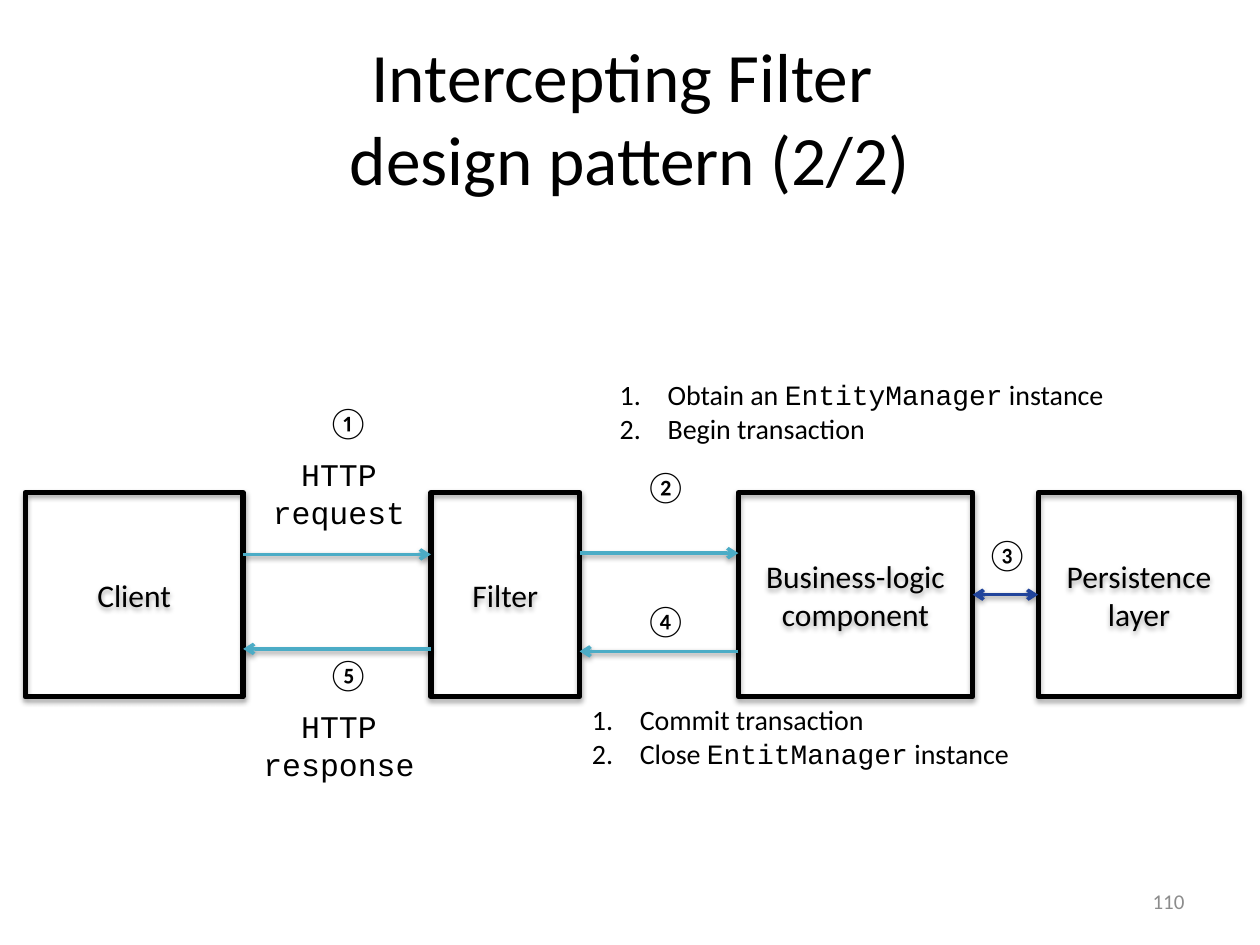
"""Build the Intercepting Filter design pattern slide."""
from lxml.etree import SubElement
from pptx import Presentation
from pptx.dml.color import RGBColor
from pptx.enum.shapes import MSO_CONNECTOR, MSO_SHAPE
from pptx.enum.text import MSO_ANCHOR as ANCHOR, MSO_AUTO_SIZE as AUTOSIZE, PP_ALIGN as ALIGN
from pptx.oxml.ns import qn
from pptx.util import Inches, Pt

BLACK = RGBColor(0x00, 0x00, 0x00)
GRAY = RGBColor(0x8C, 0x8C, 0x8C)
TEAL = RGBColor(0x4B, 0xAC, 0xC6)
BLUE = RGBColor(0x21, 0x44, 0x9B)
SANS, MONO = "Calibri", "Courier New"

TITLE = "Intercepting Filter \vdesign pattern (2/2)"
PAGE_NUMBER = "110"
BOX_TOP, BOX_HEIGHT = 3.91, 1.62
COMPONENTS = {
    "Client": (0.2, 1.73),
    "Filter": (3.42, 1.18),
    "Business-logic component": (5.86, 1.86),
    "Persistence layer": (8.24, 1.6),
}
FLOWS = [
    ("Client", "Filter", 4.4, 5.15),
    ("Filter", "Business-logic component", 4.39, 5.17),
]
MESSAGES = [(3.56, ["HTTP", "request"]), (5.56, ["HTTP", "response"])]
STEPS = [("①", 2.5, 3.15), ("②", 5.02, 3.66), ("③", 7.73, 4.2),
         ("④", 5.02, 4.72), ("⑤", 2.5, 5.15)]
ACTIONS = [
    ((4.82, 2.95, 4.75, 0.91), [
        [("Obtain an ", SANS), ("EntityManager", MONO), (" instance", SANS)],
        [("Begin transaction", SANS)],
    ]),
    ((4.6, 5.53, 4.23, 0.94), [
        [("Commit transaction", SANS)],
        [("Close ", SANS), ("EntitManager", MONO), (" instance", SANS)],
    ]),
]


def set_all(target, **values):
    for name, value in values.items():
        setattr(target, name, value)


def write(frame, paragraphs, size, align=ALIGN.LEFT, color=BLACK, numbered=False):
    for index, runs in enumerate(paragraphs):
        paragraph = frame.add_paragraph() if index else frame.paragraphs[0]
        paragraph.alignment = align
        if numbered:
            props = paragraph._p.get_or_add_pPr()
            props.set("marL", str(Inches(0.38)))
            props.set("indent", str(Inches(-0.38)))
            SubElement(props, qn("a:buFont"), typeface="+mj-lt")
            SubElement(props, qn("a:buAutoNum"), type="arabicPeriod")
        for text, font in runs:
            run = paragraph.add_run()
            run.text = text
            set_all(run.font, name=font, size=Pt(size))
            run.font.color.rgb = color


def add_text(place, paragraphs, size, wrap=True, grow=True, anchor=ANCHOR.TOP, **style):
    frame = slide.shapes.add_textbox(*map(Inches, place)).text_frame
    set_all(frame, word_wrap=wrap, vertical_anchor=anchor,
            auto_size=AUTOSIZE.SHAPE_TO_FIT_TEXT if grow else AUTOSIZE.NONE)
    write(frame, paragraphs, size, **style)


def add_shadow(effects, distance, opacity):
    shadow = SubElement(effects, qn("a:outerShdw"), blurRad=str(Pt(3.1)),
                        dist=str(Pt(distance)), dir="5400000", rotWithShape="0")
    tint = SubElement(shadow, qn("a:srgbClr"), val=str(BLACK))
    SubElement(tint, qn("a:alpha"), val=str(opacity * 1000))


def add_component(name, left, width):
    box = slide.shapes.add_shape(
        MSO_SHAPE.RECTANGLE, *map(Inches, (left, BOX_TOP, width, BOX_HEIGHT)))
    box.fill.background()
    box.line.color.rgb = BLACK
    box.line.width = Pt(3)
    box.shadow.inherit = False
    add_shadow(box._element.spPr.find(qn("a:effectLst")), 1.8, 35)
    set_all(box.text_frame, word_wrap=True, vertical_anchor=ANCHOR.MIDDLE)
    write(box.text_frame, [[(name, SANS)]], 18, ALIGN.CENTER)


def add_arrow(start, end, y, color=TEAL, ends=("tailEnd",)):
    arrow = slide.shapes.add_connector(
        MSO_CONNECTOR.STRAIGHT, *map(Inches, (start, y, end, y)))
    arrow.line.color.rgb = color
    arrow.line.width = Pt(2)
    props = arrow._element.spPr
    for end_tag in ends:
        SubElement(props.find(qn("a:ln")), qn(f"a:{end_tag}"), type="arrow")
    add_shadow(SubElement(props, qn("a:effectLst")), 1.6, 38)


def gap(left_name, right_name):
    left, width = COMPONENTS[left_name]
    return left + width, COMPONENTS[right_name][0]


deck = Presentation()
set_all(deck, slide_width=Inches(10), slide_height=Inches(7.5))
slide = deck.slides.add_slide(deck.slide_layouts[5])
title = slide.shapes.title
set_all(title, left=Inches(0.5), top=Inches(0.3), width=Inches(9), height=Inches(1.25))
title.text_frame.text = TITLE
title.text_frame.vertical_anchor = ANCHOR.MIDDLE
heading = title.text_frame.paragraphs[0]
heading.alignment = ALIGN.CENTER
for line in heading.runs:
    set_all(line.font, name=SANS, size=Pt(39.6))
    line.font.color.rgb = BLACK

for name, (left, width) in COMPONENTS.items():
    add_component(name, left, width)
for source, target, request_y, response_y in FLOWS:
    start, end = gap(source, target)
    add_arrow(start, end, request_y)
    add_arrow(end, start, response_y)
add_arrow(*gap("Business-logic component", "Persistence layer"), 4.72, BLUE,
          ("headEnd", "tailEnd"))

for top, words in MESSAGES:
    add_text((1.97, top, 1.44, 0.71), [[(word, MONO)] for word in words], 18,
             align=ALIGN.CENTER)
for place, items in ACTIONS:
    add_text(place, items, 16, numbered=True)
for number, left, top in STEPS:
    add_text((left, top, 0.45, 0.4), [[(number, SANS)]], 18, wrap=False)
add_text((7.17, 6.95, 2.33, 0.4), [[(PAGE_NUMBER, SANS)]], 12, grow=False,
         anchor=ANCHOR.MIDDLE, align=ALIGN.RIGHT, color=GRAY)

deck.save("out.pptx")
